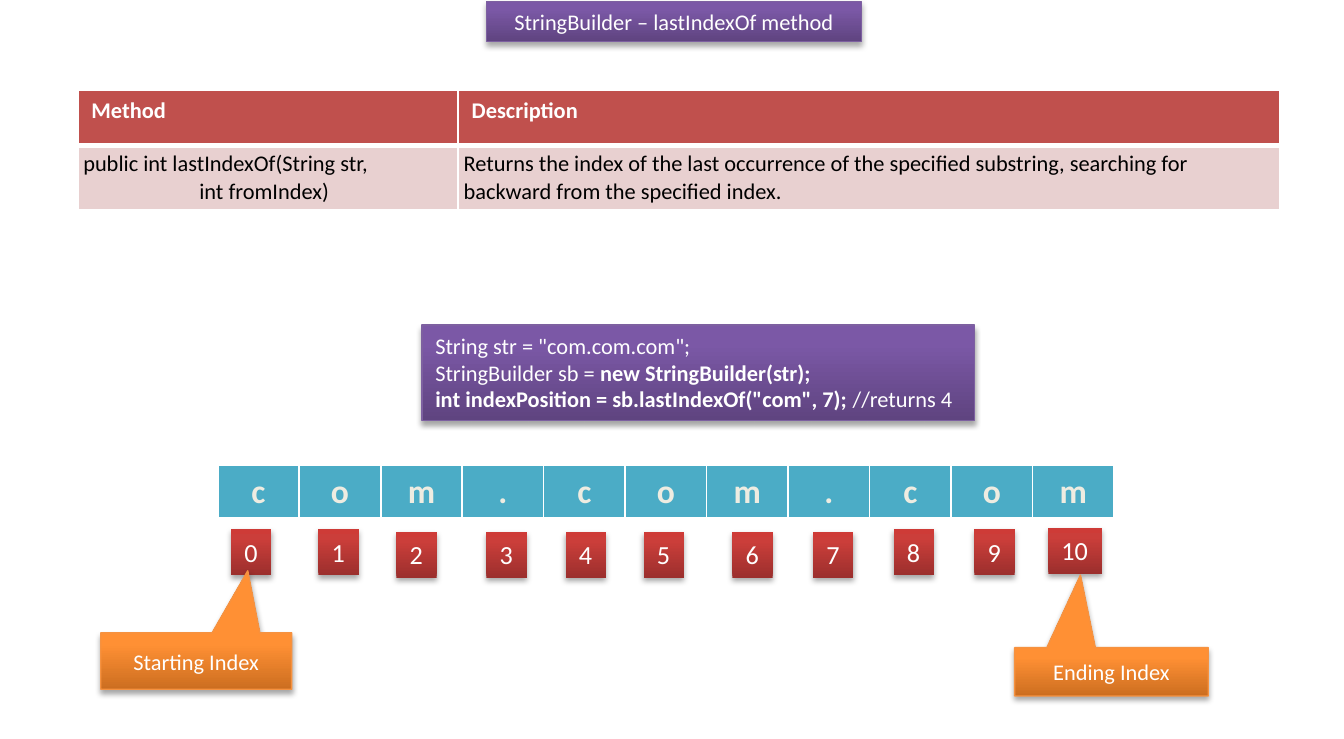
from dataclasses import dataclass

from lxml.etree import SubElement
from pptx import Presentation
from pptx.dml.color import RGBColor as RGB
from pptx.enum.shapes import MSO_SHAPE as Shape
from pptx.enum.text import MSO_ANCHOR as Anchor, MSO_AUTO_SIZE as AutoSize, PP_ALIGN as Align
from pptx.oxml import parse_xml
from pptx.oxml.ns import nsdecls, qn
from pptx.util import Inches, Pt


@dataclass(frozen=True)
class Skin:
    stops: tuple[str, str, str]
    line: str | None = None


@dataclass(frozen=True)
class Theme:
    font: str = "Calibri"
    body: int = 12
    index: int = 14
    letter: int = 18
    white: str = "FFFFFF"
    black: str = "000000"
    cream: str = "EEECE1"
    header: str = "C0504D"
    row: str = "E8D0D0"
    teal: str = "4BACC6"
    purple: Skin = Skin(("5F4480", "7B58A6", "7C57A8"), "7D60A0")
    red: Skin = Skin(("9C2F2D", "CB3E3A", "CE3B37"))
    orange: Skin = Skin(("CC6E20", "FF9034", "FF9136"), "F69240")


@dataclass(frozen=True)
class Box:
    left: float
    top: float
    width: float
    height: float

    def emu(self) -> list:
        return [Inches(v) for v in (self.left, self.top, self.width, self.height)]


@dataclass(frozen=True)
class Callout:
    box: Box
    text: str
    tip: tuple[float, float]


@dataclass(frozen=True)
class CellLook:
    fill: str
    color: str
    size: int
    bold: bool = True
    align: Align = Align.LEFT
    anchor: Anchor = Anchor.TOP
    margin: float | None = None
    top: int = 1
    bottom: int = 3


T = Theme()
HEAD = CellLook(T.header, T.white, T.body)
BODY = CellLook(T.row, T.black, T.body, False, anchor=Anchor.MIDDLE, margin=0.04, top=3, bottom=1)
LETTER = CellLook(T.teal, T.cream, T.letter, align=Align.CENTER)

METHODS = [
    ["Method", "Description"],
    ["public int lastIndexOf(String str,\n                       int fromIndex)",
     "Returns the index of the last occurrence of the specified substring, "
     "searching for backward from the specified index."],
]
CODE = [
    [('String str = "com.com.com";', False)],
    [("StringBuilder sb = ", False), ("new StringBuilder(str);", True)],
    [('int indexPosition = sb.lastIndexOf("com", 7); ', True), ("//returns 4", False)],
]
INDEX_BOXES = [
    Box(1.72, 3.94, 0.3, 0.34), Box(2.37, 3.94, 0.3, 0.34), Box(2.95, 3.96, 0.3, 0.34),
    Box(3.62, 3.96, 0.3, 0.34), Box(4.21, 3.96, 0.3, 0.34), Box(4.79, 3.96, 0.3, 0.34),
    Box(5.45, 3.96, 0.3, 0.34), Box(6.05, 3.96, 0.3, 0.34), Box(6.65, 3.94, 0.3, 0.34),
    Box(7.25, 3.94, 0.3, 0.34), Box(7.8, 3.93, 0.4, 0.34),
]
CALLOUTS = [
    Callout(Box(0.75, 4.71, 1.42, 0.42), "Starting Index", (0.27, -1.6)),
    Callout(Box(7.55, 4.82, 1.44, 0.36), "Ending Index", (-0.16, -2)),
]


def set_attrs(obj, values: dict) -> None:
    for name, value in values.items():
        setattr(obj, name, value)


def write(tf, lines: list, size: int, color: str, align: Align) -> None:
    for i, runs in enumerate(lines):
        p = tf.paragraphs[0] if i == 0 else tf.add_paragraph()
        p.alignment = align
        for text, bold in runs:
            r = p.add_run()
            r.text = text
            set_attrs(r.font, {"name": T.font, "size": Pt(size), "bold": bold})
            r.font.color.rgb = RGB.from_string(color)


def paint(sp, skin: Skin) -> None:
    sp.fill.gradient()
    sp.fill.gradient_angle = 90
    stops = sp._element.spPr.find(".//" + qn("a:gsLst"))
    stops.clear()
    for pos, color in zip((0, 80, 100), skin.stops):
        stop = SubElement(stops, qn("a:gs"), pos=str(pos * 1000))
        SubElement(stop, qn("a:srgbClr"), val=color)
    if skin.line:
        sp.line.color.rgb = RGB.from_string(skin.line)
        sp.line.width = Pt(0.75)
    else:
        sp.line.fill.background()
    sp.shadow.inherit = False
    sp._element.spPr.find(qn("a:effectLst")).append(parse_xml(
        f'<a:outerShdw {nsdecls("a")} blurRad="{Pt(3.1)}" dist="{Pt(1.8)}" dir="5400000" '
        f'rotWithShape="0"><a:srgbClr val="{T.black}"><a:alpha val="35000"/></a:srgbClr>'
        '</a:outerShdw>'))


def add_box(s, box: Box, skin: Skin, lines: list, size: int = T.body, align: Align = Align.LEFT,
            kind: Shape = Shape.RECTANGLE, **frame):
    sp = s.shapes.add_shape(kind, *box.emu())
    paint(sp, skin)
    look = {"word_wrap": True, "vertical_anchor": Anchor.TOP,
            "auto_size": AutoSize.SHAPE_TO_FIT_TEXT}
    set_attrs(sp.text_frame, look | frame)
    write(sp.text_frame, lines, size, T.white, align)
    return sp


def add_grid(s, box: Box, widths: list[float], rows: list[list[str]], looks: list[CellLook]) -> None:
    table = s.shapes.add_table(len(rows), len(widths), *box.emu()).table
    table.horz_banding = False
    for col, width in zip(table.columns, widths):
        col.width = Inches(width)
    for row, texts, look in zip(table.rows, rows, looks):
        row.height = Inches(0.41)
        for cell, text in zip(row.cells, texts):
            style_cell(cell, look)
            write(cell.text_frame, [[(line, look.bold)] for line in text.split("\n")],
                  look.size, look.color, look.align)


def style_cell(cell, look: CellLook) -> None:
    cell.vertical_anchor = look.anchor
    if look.margin is not None:
        sides = ("left", "top", "right", "bottom")
        set_attrs(cell, {f"margin_{side}": Inches(look.margin) for side in sides})
    tc_pr = cell._tc.get_or_add_tcPr()
    for side, width in (("L", 1), ("R", 1), ("T", look.top), ("B", look.bottom)):
        ln = SubElement(tc_pr, qn(f"a:ln{side}"), w=str(Pt(width)))
        SubElement(SubElement(ln, qn("a:solidFill")), qn("a:srgbClr"), val=T.white)
    cell.fill.solid()
    cell.fill.fore_color.rgb = RGB.from_string(look.fill)


def main() -> None:
    prs = Presentation()
    set_attrs(prs, {"slide_width": Inches(10), "slide_height": Inches(5.5)})
    s = prs.slides.add_slide(prs.slide_layouts[6])

    add_box(s, Box(3.62, 0.01, 2.79, 0.3), T.purple,
            [[("StringBuilder – lastIndexOf method", False)]], align=Align.CENTER)
    add_grid(s, Box(0.58, 0.67, 8.94, 0.82), [2.83, 6.11], METHODS, [HEAD, BODY])
    letters = list("com.com.com")
    add_grid(s, Box(1.62, 3.46, 6.67, 0.41), [6.67 / len(letters)] * len(letters),
             [letters], [LETTER])
    for i, box in enumerate(INDEX_BOXES):
        add_box(s, box, T.red, [[(str(i), False)]], T.index, word_wrap=False)
    for c in CALLOUTS:
        sp = add_box(s, c.box, T.orange, [[(c.text, False)]], align=Align.CENTER,
                     kind=Shape.RECTANGULAR_CALLOUT, vertical_anchor=Anchor.MIDDLE,
                     auto_size=AutoSize.NONE)
        for i, value in enumerate(c.tip):
            sp.adjustments[i] = value
    add_box(s, Box(3.14, 2.42, 4.11, 0.71), T.purple, CODE)
    prs.save("out.pptx")


if __name__ == "__main__":
    main()
